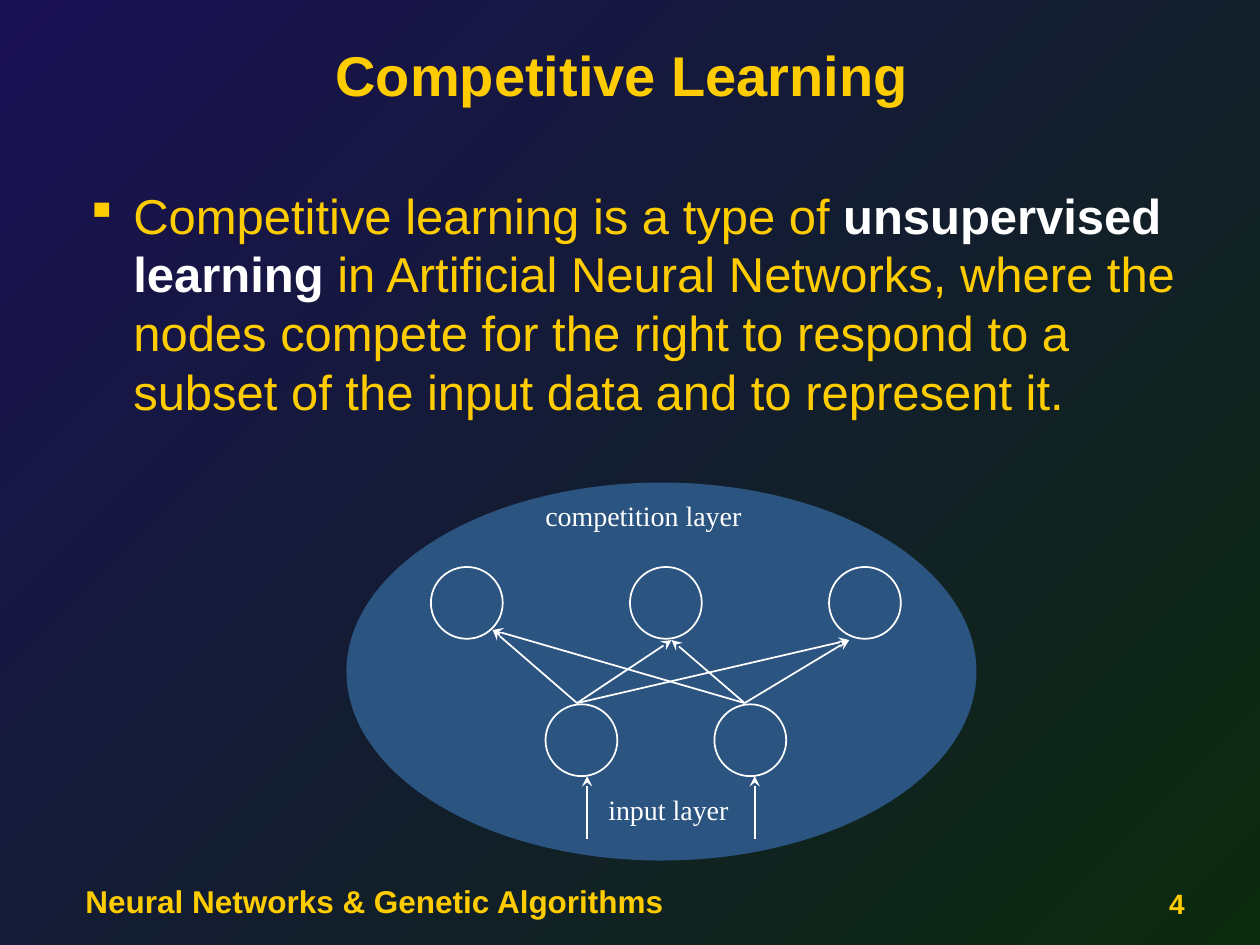
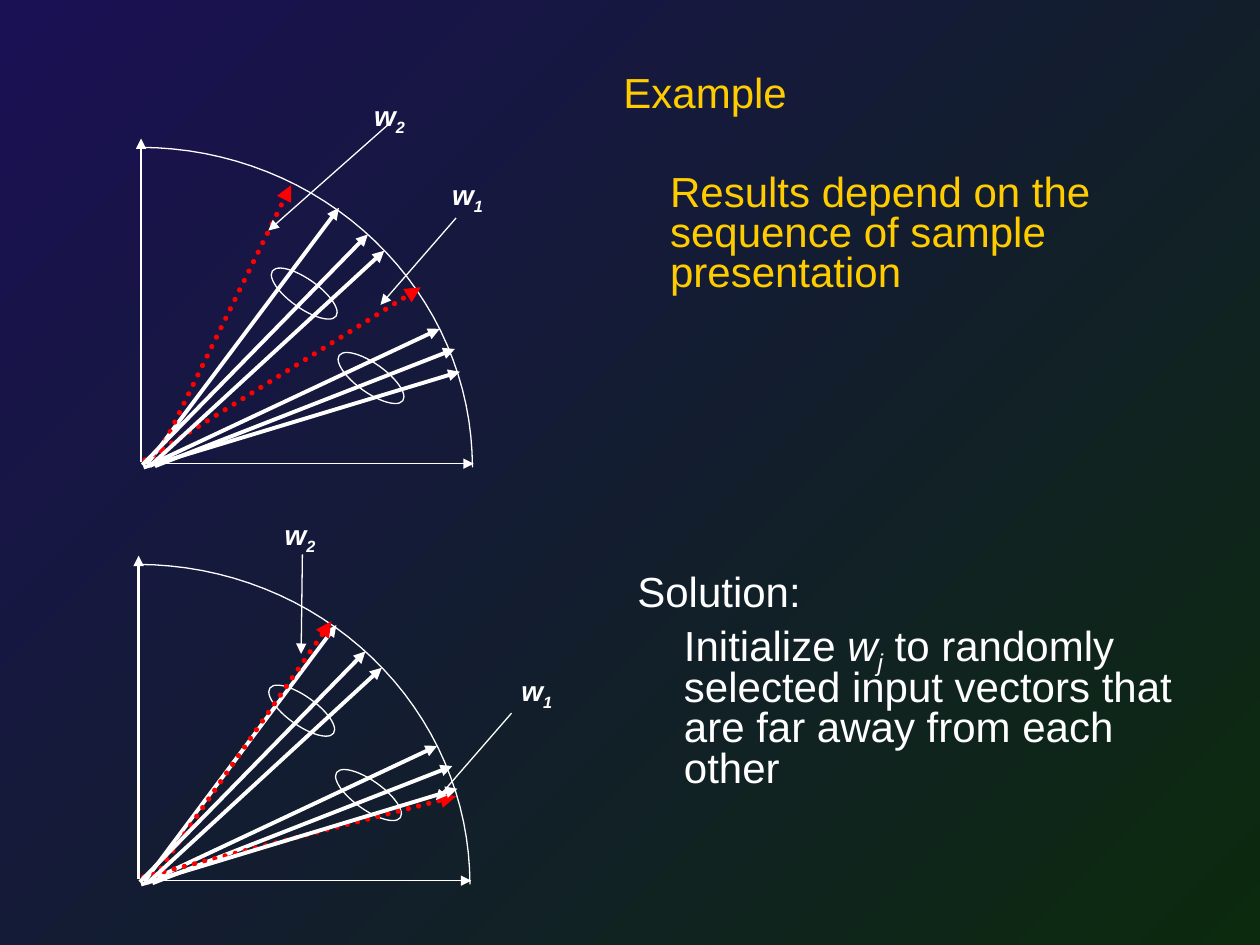
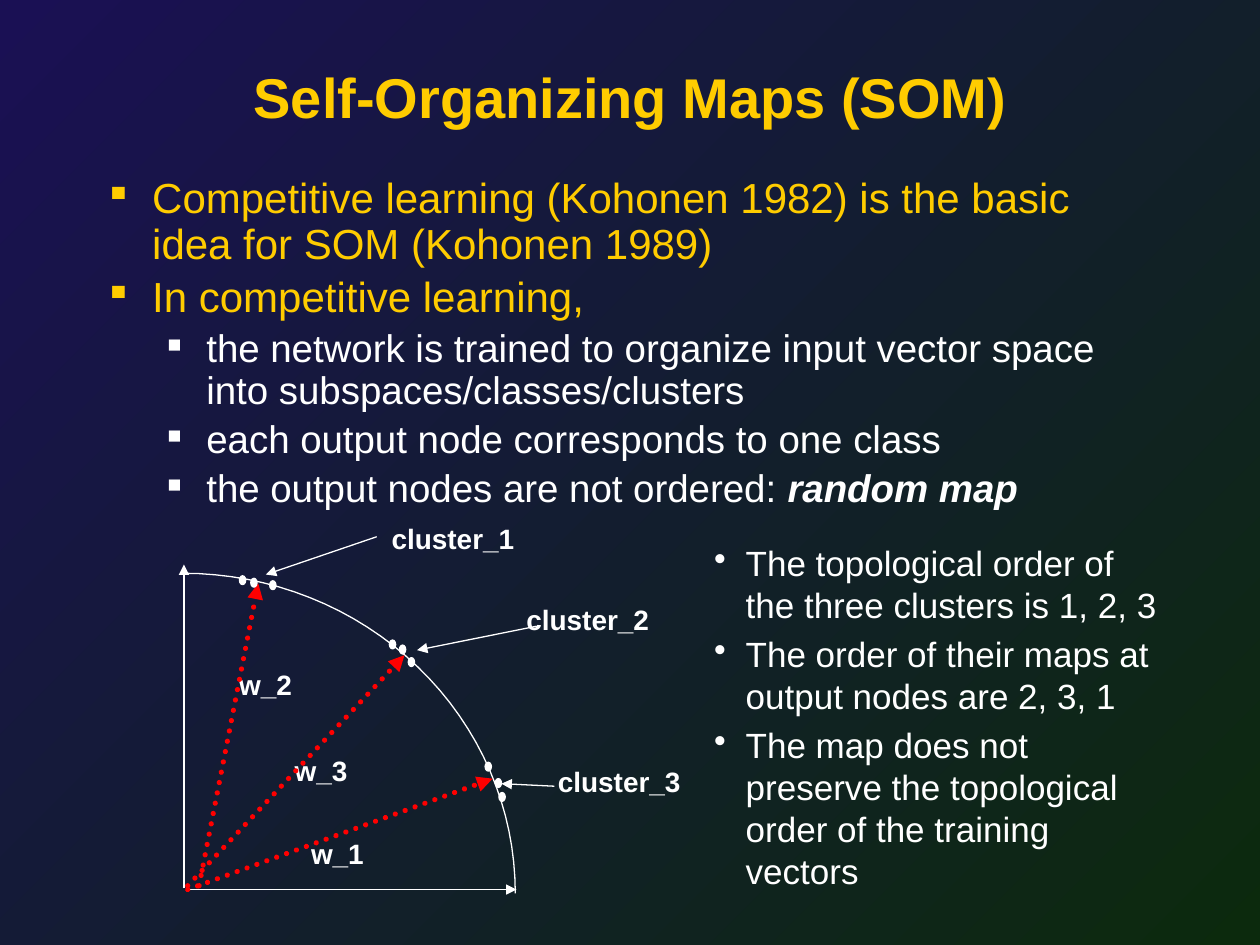
"""Builds three slides on competitive learning and self-organizing maps."""
from dataclasses import dataclass, replace
from itertools import product
from math import cos, pi, sin

from lxml.etree import SubElement
from pptx import Presentation
from pptx.dml.color import RGBColor
from pptx.enum.dml import MSO_LINE
from pptx.enum.shapes import MSO_CONNECTOR, MSO_SHAPE
from pptx.enum.text import MSO_ANCHOR, PP_ALIGN
from pptx.oxml.ns import qn
from pptx.util import Inches, Pt


@dataclass(frozen=True)
class Theme:
    gold: str = "FFCC00"
    white: str = "FFFFFF"
    red: str = "FF0000"
    pool: str = "2B5481"
    background: tuple = ("1A1054", "0C2A0D")
    sans: str = "Arial"
    serif: str = "Times New Roman"
    title: int = 32
    lead: int = 28
    body: int = 24
    detail: int = 22
    note: int = 20
    footer: int = 18
    label: int = 16
    thin: float = 0.75
    node: float = 1
    axis: float = 1.5
    sample: float = 2.25
    weight: float = 3


THEME = Theme()


@dataclass(frozen=True)
class Span:
    text: str
    bold: bool = False
    italic: bool = False
    lowered: bool = False
    color: str = ""


@dataclass(frozen=True)
class Para:
    spans: tuple = ()
    size: int = THEME.body
    color: str = THEME.gold
    font: str = THEME.sans
    align: PP_ALIGN = PP_ALIGN.LEFT
    left: float = 0
    hang: float = 0
    spacing: float = 1
    before: float = 0
    bullet: str = ""
    bullet_percent: int = 100

    def says(self, *spans):
        return replace(self, spans=tuple(Span(s) if isinstance(s, str) else s for s in spans))


TITLE = Para(size=THEME.title, align=PP_ALIGN.CENTER)
LEAD = Para(size=THEME.lead, left=0.38, hang=0.38, bullet="▪", bullet_percent=90)
POINT = replace(LEAD, size=THEME.body, spacing=0.9, before=4.8)
SUBPOINT = Para(size=THEME.detail, color=THEME.white, left=0.81, hang=0.31, spacing=0.9,
                before=4.4, bullet="■", bullet_percent=50)
NOTE = Para(size=THEME.note, color=THEME.white, left=0.25, hang=0.25, before=4, bullet="•")
HEADING = Para(spacing=0.8)
FOOTER = Para(size=THEME.footer)
LABEL = Para(size=THEME.label, color=THEME.white)
LAYER_LABEL = replace(LABEL, font=THEME.serif)

DEFINITION = LEAD.says(
    "Competitive learning is a type of ",
    Span("unsupervised learning", bold=True, color=THEME.white),
    " in Artificial Neural Networks, where the nodes compete for the right to respond "
    "to a subset of the input data and to represent it.")

NODE_SIZE = 0.57
OUTPUT_NODES = [(3.42 + 1.58 * column, 4.5) for column in range(3)]
INPUT_NODES = [(4.33, 5.59), (5.67, 5.59)]
EDGE_STARTS = [(4.58, 5.58), (5.91, 5.58)]
EDGE_ENDS = [(3.91, 5), (5.33, 5.08), (6.74, 5.08)]
LAYER_LABELS = [("competition layer", (4.23, 3.91, 1.8, 0.37)),
                ("input layer", (4.73, 6.24, 1.2, 0.37))]

EXAMPLE = [
    HEADING.says("Example"),
    replace(HEADING, left=0.37, before=33).says(
        "Results depend on the sequence of sample presentation"),
]
SOLUTION_HEADING = replace(HEADING, color=THEME.white)
SOLUTION = [
    SOLUTION_HEADING.says("Solution:"),
    replace(SOLUTION_HEADING, left=0.37, before=4.8).says(
        "Initialize ", Span("w", italic=True), Span("j", italic=True, lowered=True),
        " to randomly selected input vectors that are far away from each other"),
]

QUADRANT_SIZE = (2.64, 2.54)
CLUSTER_RINGS = [(1.72, 1.52), (1.19, 0.85)]
SAMPLES_BELOW = [((0.06, 2.51), (1.58, 0.48)), ((0.06, 2.53), (2.38, 1.44)),
                 ((0.12, 2.53), (2.5, 1.6))]
SAMPLES_ABOVE = [((0.02, 2.52), (1.81, 0.69)), ((0.03, 2.54), (2.54, 1.78)),
                 ((0.08, 2.53), (1.94, 0.82))]
SAMPLE_DIAGRAMS = [
    {"origin": (1.09, 4.48),
     "weights": [((1.23, 6.96), (2.63, 4.93)), ((1.14, 6.96), (3.62, 6.32))],
     "pointers": [((2.4, 4.4), (2.39, 5.19)), ((4.06, 5.66), (3.46, 6.35))],
     "labels": [("1", (4.04, 5.3, 0.82, 0.77)), ("2", (2.16, 4.06, 0.82, 0.37))]},
    {"origin": (1.11, 1.17),
     "weights": [((1.24, 3.65), (2.31, 1.47)), ((1.15, 3.65), (3.34, 2.28))],
     "pointers": [((3.08, 0.99), (2.13, 1.83)), ((3.62, 1.73), (3.02, 2.42))],
     "labels": [("1", (3.49, 1.36, 0.82, 0.77)), ("2", (2.87, 0.73, 0.82, 0.37))]},
]

MAP_POINTS = [
    POINT.says("Competitive learning (Kohonen 1982) is the basic idea for SOM (Kohonen 1989)"),
    POINT.says("In competitive learning,"),
    SUBPOINT.says("the network is trained to organize input vector space into "
                  "subspaces/classes/clusters"),
    SUBPOINT.says("each output node corresponds to one class"),
    SUBPOINT.says("the output nodes are not ordered: ",
                  Span("random map", bold=True, italic=True)),
]
MAP_NOTES = [NOTE.says(text) for text in (
    "The topological order of the three clusters is 1, 2, 3",
    "The order of their maps at output nodes are 2, 3, 1",
    "The map does not preserve the topological order of the training vectors")]
MAP_WEIGHTS = [((1.58, 7.03), (2.05, 4.63)), ((1.49, 7.03), (3.21, 5.2)),
               ((1.49, 7.06), (3.91, 6.18))]
MAP_POINTERS = [((2.99, 4.26), (2.11, 4.56)), ((4.26, 4.97), (3.31, 5.16)),
                ((4.4, 6.24), (3.98, 6.22))]
MAP_LABELS = [("w_3", 2.24, 5.93), ("w_2", 1.8, 5.25), ("w_1", 2.37, 6.59),
              ("cluster_1", 3.01, 4.09), ("cluster_3", 4.33, 6.02), ("cluster_2", 4.08, 4.73)]
MAP_DOTS = [(3.85, 6.05), (3.93, 6.18), (3.96, 6.29), (3.17, 5.12), (3.24, 5.22),
            (1.9, 4.57), (3.09, 5.08), (2.14, 4.61), (1.99, 4.59)]


def rgb(color):
    return RGBColor.from_string(color)


def inches(values):
    return [Inches(value) for value in values]


def add_paragraph(frame, para, first):
    paragraph = frame.paragraphs[0] if first else frame.add_paragraph()
    paragraph.alignment = para.align
    paragraph.line_spacing = para.spacing
    paragraph.space_before = Pt(0 if first else para.before)
    properties = paragraph._p.get_or_add_pPr()
    properties.set("marL", str(Inches(para.left)))
    properties.set("indent", str(-Inches(para.hang)))
    if para.bullet:
        color = SubElement(properties, qn("a:buClr"))
        SubElement(color, qn("a:srgbClr"), val=para.color)
        SubElement(properties, qn("a:buSzPct"), val=str(para.bullet_percent * 1000))
        SubElement(properties, qn("a:buChar"), char=para.bullet)
    for span in para.spans:
        run = paragraph.add_run()
        run.text = span.text
        run.font.name = para.font
        run.font.size = Pt(para.size)
        run.font.bold = span.bold
        run.font.italic = span.italic
        run.font.color.rgb = rgb(span.color or para.color)
        if span.lowered:
            run._r.get_or_add_rPr().set("baseline", "-25000")


def add_text(page, place, paras, anchor=MSO_ANCHOR.TOP):
    frame = page.shapes.add_textbox(*inches(place)).text_frame
    frame.word_wrap = True
    frame.vertical_anchor = anchor
    for index, para in enumerate(paras):
        add_paragraph(frame, para, index == 0)


def add_title(page, place, text):
    add_text(page, place, [TITLE.says(Span(text, bold=True))], MSO_ANCHOR.MIDDLE)


def paint(shape, fill, line, width=THEME.thin):
    shape.shadow.inherit = False
    if fill:
        shape.fill.solid()
        shape.fill.fore_color.rgb = rgb(fill)
    else:
        shape.fill.background()
    if line:
        shape.line.color.rgb = rgb(line)
        shape.line.width = Pt(width)
    else:
        shape.line.fill.background()


def add_ellipse(page, place, fill=None, line=THEME.white, width=THEME.thin, rotation=0):
    ellipse = page.shapes.add_shape(MSO_SHAPE.OVAL, *inches(place))
    ellipse.rotation = rotation
    paint(ellipse, fill, line, width)


def add_arrow(page, start, end, width=THEME.thin, color=THEME.white, head="triangle",
              dotted=False):
    arrow = page.shapes.add_connector(MSO_CONNECTOR.STRAIGHT, *inches(start + end))
    arrow.line.color.rgb = rgb(color)
    arrow.line.width = Pt(width)
    outline = arrow.line._get_or_add_ln()
    if dotted:
        arrow.line.dash_style = MSO_LINE.ROUND_DOT
        outline.set("cap", "rnd")
    SubElement(outline, qn("a:tailEnd"), type=head)
    SubElement(arrow._element.spPr, qn("a:effectLst"))


def add_weights(page, weights):
    for start, end in weights:
        add_arrow(page, start, end, THEME.weight, THEME.red, dotted=True)


def add_quadrant(page, left, top, steps=32):
    width, height = QUADRANT_SIZE
    angles = [pi / 2 * step / steps for step in range(1, steps + 1)]
    curve = [inches((left + width * sin(angle), top + height * (1 - cos(angle))))
             for angle in angles]
    builder = page.shapes.build_freeform(Inches(left), Inches(top))
    builder.add_line_segments(curve, close=False)
    paint(builder.convert_to_shape(), None, THEME.white)
    add_arrow(page, (left + 0.01, top + 2.5), (left + 0.01, top - 0.07), THEME.axis)
    add_arrow(page, (left + 0.03, top + 2.51), (left + 2.65, top + 2.51))


def add_samples(page, origin, samples):
    for sample in samples:
        start, end = [(origin[0] + x, origin[1] + y) for x, y in sample]
        add_arrow(page, start, end, THEME.sample)


def add_sample_diagram(page, origin, weights, pointers, labels):
    left, top = origin
    for x, y in CLUSTER_RINGS:
        add_ellipse(page, (left + x, top + y, 0.23, 0.62), rotation=305.4)
    add_quadrant(page, left, top)
    add_samples(page, origin, SAMPLES_BELOW)
    for index, place in labels:
        add_text(page, place, [LABEL.says(Span("w", bold=True, italic=True),
                                          Span(index, bold=True, italic=True, lowered=True))])
    add_weights(page, weights)
    for start, end in pointers:
        add_arrow(page, start, end)
    add_samples(page, origin, SAMPLES_ABOVE)


def build_competitive_learning(page):
    add_title(page, (0.5, 0.17, 9, 0.83), "Competitive Learning ")
    add_text(page, (0.58, 1.42, 9.08, 2.92), [DEFINITION])
    add_text(page, (0.58, 6.83, 7.17, 0.52),
             [FOOTER.says(Span("Neural Networks & Genetic Algorithms", bold=True))],
             MSO_ANCHOR.BOTTOM)
    number = replace(FOOTER, size=THEME.label, align=PP_ALIGN.RIGHT)
    add_text(page, (7.17, 6.83, 2.33, 0.52), [number.says(Span("4", bold=True))],
             MSO_ANCHOR.BOTTOM)
    add_ellipse(page, (2.75, 3.83, 5, 3), THEME.pool, None)
    for node in OUTPUT_NODES + INPUT_NODES:
        add_ellipse(page, node + (NODE_SIZE, NODE_SIZE), THEME.pool, width=THEME.node)
    feeds = [((x + 0.08, 6.66), (x + 0.08, 6.16)) for x, _ in EDGE_STARTS]
    for start, end in list(product(EDGE_STARTS, EDGE_ENDS)) + feeds:
        add_arrow(page, start, end, THEME.node, head="stealth")
    for text, place in LAYER_LABELS:
        add_text(page, place, [LAYER_LABEL.says(text)])


def build_example(page):
    add_text(page, (4.85, 0.56, 4.4, 2.05), EXAMPLE)
    add_text(page, (4.96, 4.52, 4.49, 1.67), SOLUTION)
    for diagram in SAMPLE_DIAGRAMS:
        add_sample_diagram(page, **diagram)


def build_self_organizing_maps(page):
    add_title(page, (0.4, 0.29, 9.21, 0.94), "Self-Organizing Maps (SOM)")
    add_text(page, (0.73, 1.36, 8.5, 2.93), MAP_POINTS)
    add_quadrant(page, 1.45, 4.55)
    for text, left, top in MAP_LABELS:
        width = 1.5 if text.startswith("cluster") else 0.82
        add_text(page, (left, top, width, 0.37), [LABEL.says(Span(text, bold=True))])
    add_weights(page, MAP_WEIGHTS)
    for start, end in MAP_POINTERS:
        add_arrow(page, start, end)
    add_text(page, (5.57, 4.25, 3.76, 2.93), MAP_NOTES)
    for dot in MAP_DOTS:
        add_ellipse(page, dot + (0.05, 0.07), THEME.white)


def main():
    deck = Presentation()
    deck.slide_width, deck.slide_height = inches((10, 7.5))
    backdrop = deck.slide_master.background.fill
    backdrop.gradient()
    backdrop.gradient_angle = 315
    for stop, color in zip(backdrop.gradient_stops, THEME.background):
        stop.color.rgb = rgb(color)
    for build in (build_competitive_learning, build_example, build_self_organizing_maps):
        build(deck.slides.add_slide(deck.slide_layouts[6]))
    deck.save("out.pptx")


if __name__ == "__main__":
    main()
